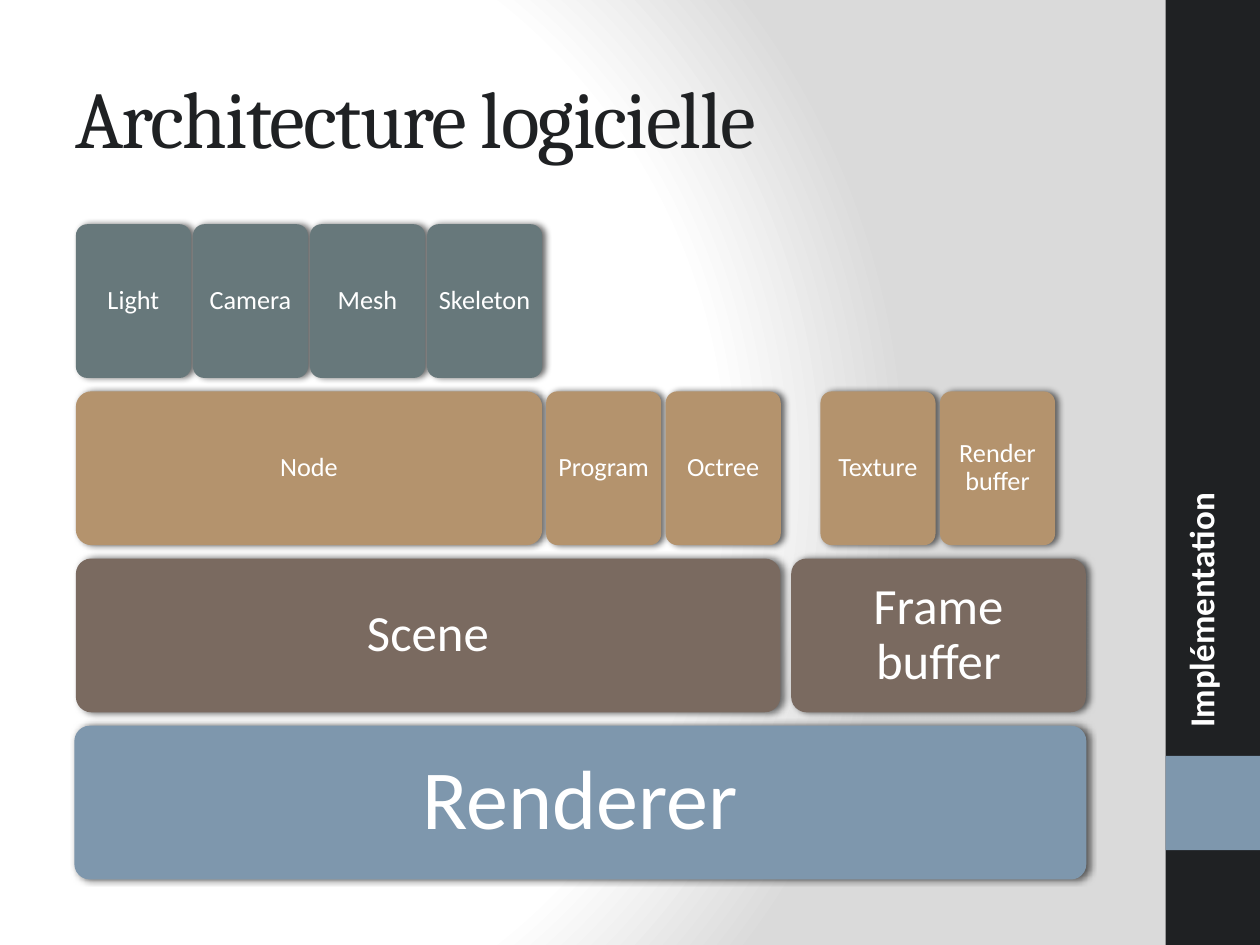
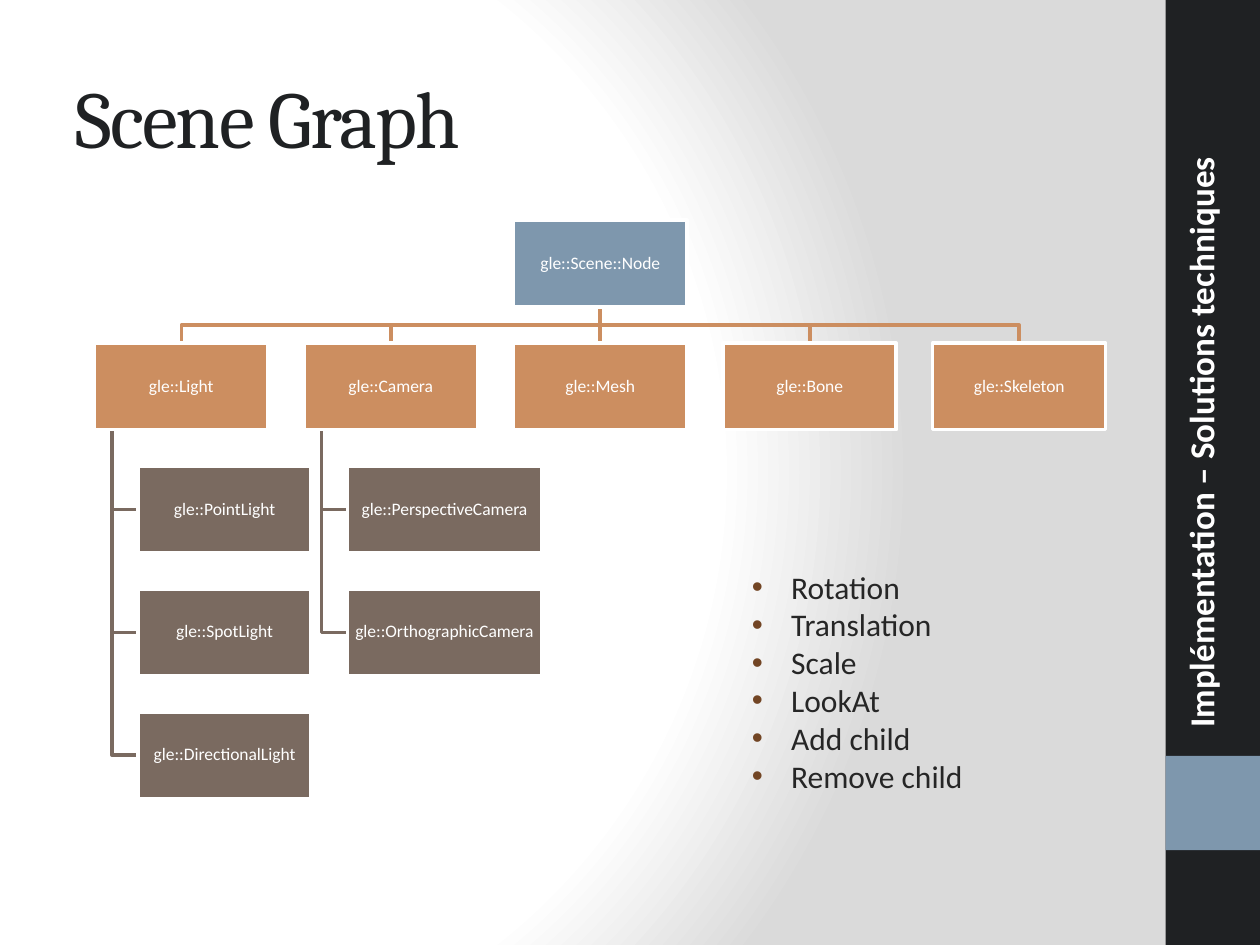
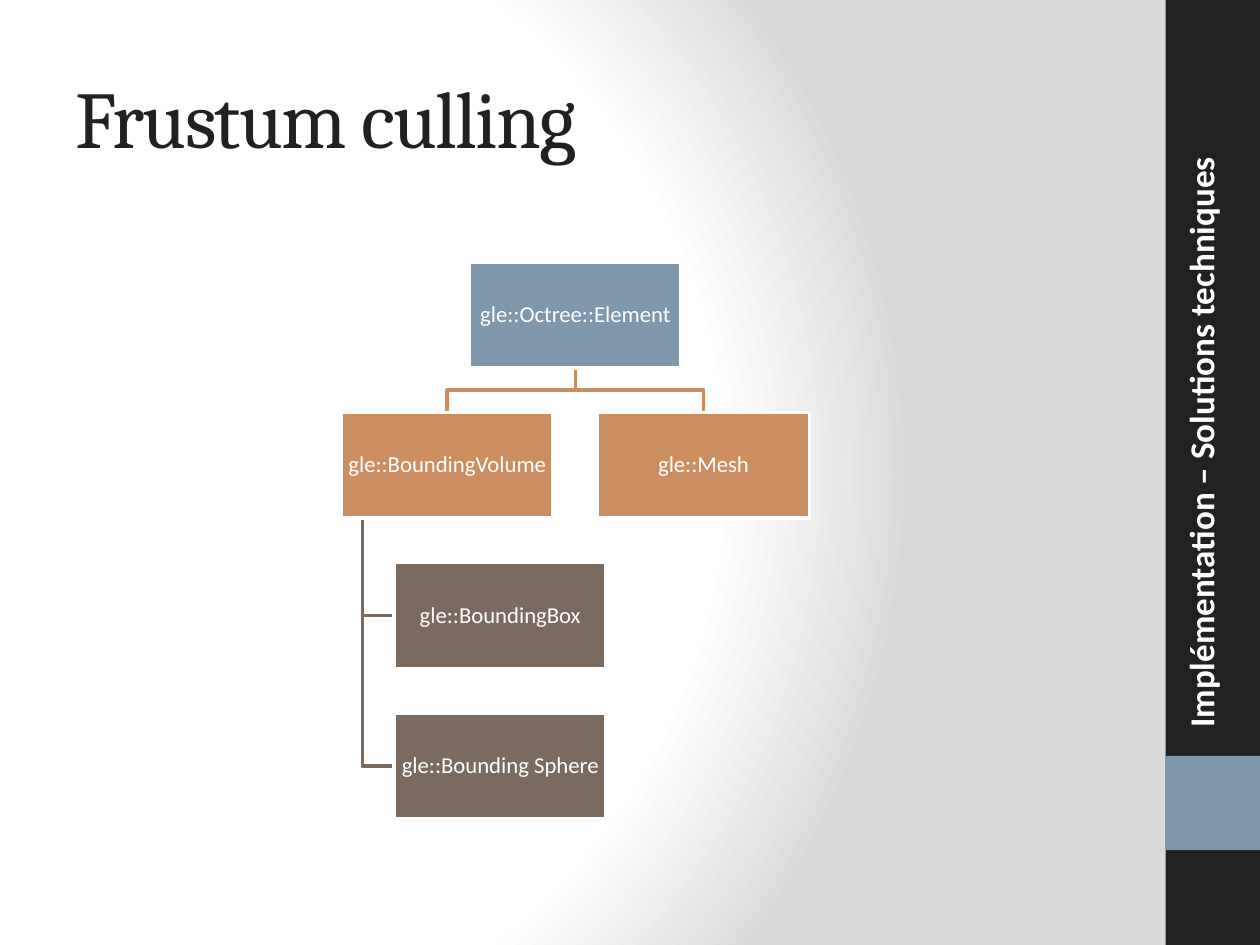
import pptx
import pptx.util
import pptx.oxml
import pptx.oxml.ns
import pptx.dml.color
import pptx.enum.text
import pptx.enum.shapes

HUES = {
    "ink": "1F2123", "blue": "7E97AD", "brown": "7A6A60", "sand": "B4936D",
    "slate": "67787B", "clay": "CC8E60", "white": "FFFFFF", "grey": "DADADA",
    "text": "262626", "dot": "724524",
}
SIZES = {"big": (48, 0.6), "mid": (29, 0.4), "small": (15, 0.1)}

PART = "Implémentation"
TOPIC = "Implémentation – Solutions techniques"

UNIT = 2.32
STACK = [
    (3, 1.5, 20.4, "Renderer", "blue", "big"),
    (2, 1.53, 14.2, "Scene", "brown", "mid"),
    (2, 15.95, 5.94, "Frame buffer", "brown", "mid"),
    (1, 1.53, 9.4, "Node", "sand", "small"),
    (1, 11.01, UNIT, "Program", "sand", "small"),
    (1, 13.42, UNIT, "Octree", "sand", "small"),
    (1, 16.54, UNIT, "Texture", "sand", "small"),
    (1, 18.95, UNIT, "Render buffer", "sand", "small"),
]
PARTS = ["Light", "Camera", "Mesh", "Skeleton"]

SCENE = {
    "left": 1.91, "top": 4.44, "wide": 3.49, "size": 10,
    "root": "gle::Scene::Node",
    "kids": [
        ("gle::Light", 3.49, ["gle::PointLight", "gle::SpotLight", "gle::DirectionalLight"]),
        ("gle::Camera", 3.91, ["gle::PerspectiveCamera", "gle::OrthographicCamera"]),
        ("gle::Mesh", 3.49, []),
        ("gle::Bone", 3.49, []),
        ("gle::Skeleton", 3.49, []),
    ],
}
CULL = {
    "left": 6.88, "top": 5.28, "wide": 4.27, "size": 13,
    "root": "gle::Octree::Element",
    "kids": [
        ("gle::BoundingVolume", 4.27, ["gle::BoundingBox", "gle::Bounding Sphere"]),
        ("gle::Mesh", 4.27, []),
    ],
}
MOVES = ["Rotation", "Translation", "Scale", "LookAt", "Add child", "Remove child"]

Cm = pptx.util.Cm
Pt = pptx.util.Pt
SHAPE = pptx.enum.shapes.MSO_SHAPE
MIDDLE = pptx.enum.text.MSO_ANCHOR.MIDDLE
CENTER = pptx.enum.text.PP_ALIGN.CENTER
NS = pptx.oxml.ns.nsdecls("a")


def hue(name):
    return pptx.dml.color.RGBColor.from_string(HUES[name])


def xml(text):
    return pptx.oxml.parse_xml(text.replace(">", f" {NS}>", 1))


def write(para, text, size, tint, font="Calibri", bold=False):
    run = para.add_run()
    run.text = text
    run.font.size = Pt(size)
    run.font.name = font
    run.font.bold = bold
    run.font.color.rgb = hue(tint)
    return run


def note(slide, left, top, wide, high):
    box = slide.shapes.add_textbox(Cm(left), Cm(top), Cm(wide), Cm(high))
    box.text_frame.word_wrap = True
    return box.text_frame


def block(slide, left, top, wide, high, tint, kind=SHAPE.RECTANGLE):
    box = slide.shapes.add_shape(kind, Cm(left), Cm(top), Cm(wide), Cm(high))
    box.shadow.inherit = False
    box.fill.solid()
    box.fill.fore_color.rgb = hue(tint)
    box.line.fill.background()
    return box


def label(box, text, size, inset):
    frame = box.text_frame
    frame.word_wrap = True
    frame.vertical_anchor = MIDDLE
    frame.margin_left = frame.margin_right = Cm(inset)
    frame.margin_top = frame.margin_bottom = Cm(inset)
    para = frame.paragraphs[0]
    para.alignment = CENTER
    para.line_spacing = 0.9
    write(para, text, size, "white")


def backdrop(deck):
    master = deck.slide_master
    master.background.fill.gradient()
    grad = master.element.find(".//" + pptx.oxml.ns.qn("a:gradFill"))
    stops = "".join(
        f'<a:gs pos="{pos}000"><a:srgbClr val="{HUES[tint]}"/></a:gs>'
        for pos, tint in [(0, "white"), (75, "white"), (100, "grey")])
    fresh = xml(
        f'<a:gradFill rotWithShape="1"><a:gsLst>{stops}</a:gsLst><a:path path="circle">'
        '<a:fillToRect l="20000" t="50000" r="100000" b="50000"/></a:path></a:gradFill>')
    grad.getparent().replace(grad, fresh)


def page(deck, title, side):
    slide = deck.slides.add_slide(deck.slide_layouts[6])
    block(slide, 23.5, 0, 1.9, 19.05, "ink")
    block(slide, 23.5, 15.24, 1.9, 1.9, "blue")
    frame = note(slide, 1.27, 0.76, 21.16, 3.18)
    frame.vertical_anchor = MIDDLE
    run = write(frame.paragraphs[0], title, 46, "ink", "Cambria")
    run.font._element.set("spc", "-100")
    frame = note(slide, 23.65, 0, 1.37, 14.92)
    frame._txBody.bodyPr.set("vert", "vert270")
    write(frame.paragraphs[0], side, 20, "white", bold=True)
    return slide


def stack(slide):
    units = [(0, 1.53 + 2.36 * i, UNIT, name, "slate", "small")
             for i, name in enumerate(PARTS)]
    for row, left, wide, text, tint, scale in STACK + units:
        box = block(slide, left, 4.52 + 3.37 * row, wide, 3.1, tint, SHAPE.ROUNDED_RECTANGLE)
        box.adjustments[0] = 0.1
        box._element.spPr.find(pptx.oxml.ns.qn("a:effectLst")).append(xml(
            f'<a:outerShdw blurRad="{Pt(4)}" dist="{Pt(2)}" dir="0" rotWithShape="0">'
            '<a:srgbClr val="000000"><a:alpha val="60000"/></a:srgbClr></a:outerShdw>'))
        label(box, text, *SIZES[scale])


def finish(slide, wire, tint):
    wire.line.color.rgb = hue(tint)
    wire.line.width = Pt(2)
    slide.shapes._spTree.insert(2, wire._element)


def bend(slide, points, tint):
    start, *rest = [(Cm(x), Cm(y)) for x, y in points]
    form = slide.shapes.build_freeform(*start)
    form.add_line_segments(rest, close=False)
    wire = form.convert_to_shape()
    wire.shadow.inherit = False
    wire.fill.background()
    finish(slide, wire, tint)


def link(slide, upper, lower, tint):
    wire = slide.shapes.add_connector(pptx.enum.shapes.MSO_CONNECTOR.STRAIGHT, 0, 0, 0, 0)
    wire.begin_connect(upper, 2)
    wire.end_connect(lower, 0)
    wire._element.spPr.append(xml("<a:effectLst></a:effectLst>"))
    finish(slide, wire, tint)


def tree(slide, plan):
    wide, top = plan["wide"], plan["top"]
    high, gap = wide / 2, wide * 0.21
    step, drop = wide + gap, high + gap
    last = len(plan["kids"]) - 1

    def node(left, top, wide, text, tint):
        box = block(slide, left, top, wide, high, tint)
        box.line.color.rgb = hue("white")
        box.line.width = Pt(2)
        label(box, text, plan["size"], 0.03)
        return box

    crown = plan["left"] + step * last / 2
    root = node(crown, top, wide, plan["root"], "blue")
    stem, base = crown + wide / 2, top + high
    for i, (name, broad, leaves) in enumerate(plan["kids"]):
        left, row = plan["left"] + step * i, top + drop
        kid = node(left, row, wide, name, "clay")
        if i * 2 == last:
            link(slide, root, kid, "clay")
        else:
            mid, turn = left + wide / 2, base + gap / 2
            bend(slide, [(stem, base), (stem, turn), (mid, turn), (mid, row)], "clay")
        trunk, edge = left + wide / 10, left + wide / 4
        for j, leaf in enumerate(leaves, 1):
            spot = row + drop * j
            node(edge, spot, broad, leaf, "brown")
            level = spot + high / 2
            bend(slide, [(trunk, row + high), (trunk, level), (edge, level)], "brown")


def bullets(slide, items):
    frame = note(slide, 14.91, 11.32, 7.01, 4.88)
    for i, item in enumerate(items):
        para = frame.add_paragraph() if i else frame.paragraphs[0]
        props = para._p.get_or_add_pPr()
        props.set("marL", str(Cm(0.79)))
        props.set("indent", str(-Cm(0.79)))
        props.append(xml(f'<a:buClr><a:srgbClr val="{HUES["dot"]}"/></a:buClr>'))
        props.append(xml('<a:buFont typeface="Arial"></a:buFont>'))
        props.append(xml('<a:buChar char="•"></a:buChar>'))
        write(para, item, 18, "text")


def main():
    deck = pptx.Presentation()
    deck.slide_width, deck.slide_height = Cm(25.4), Cm(19.05)
    backdrop(deck)
    stack(page(deck, "Architecture logicielle", PART))
    graph = page(deck, "Scene Graph", TOPIC)
    tree(graph, SCENE)
    bullets(graph, MOVES)
    tree(page(deck, "Frustum culling", TOPIC), CULL)
    deck.save("out.pptx")


if __name__ == "__main__":
    main()
